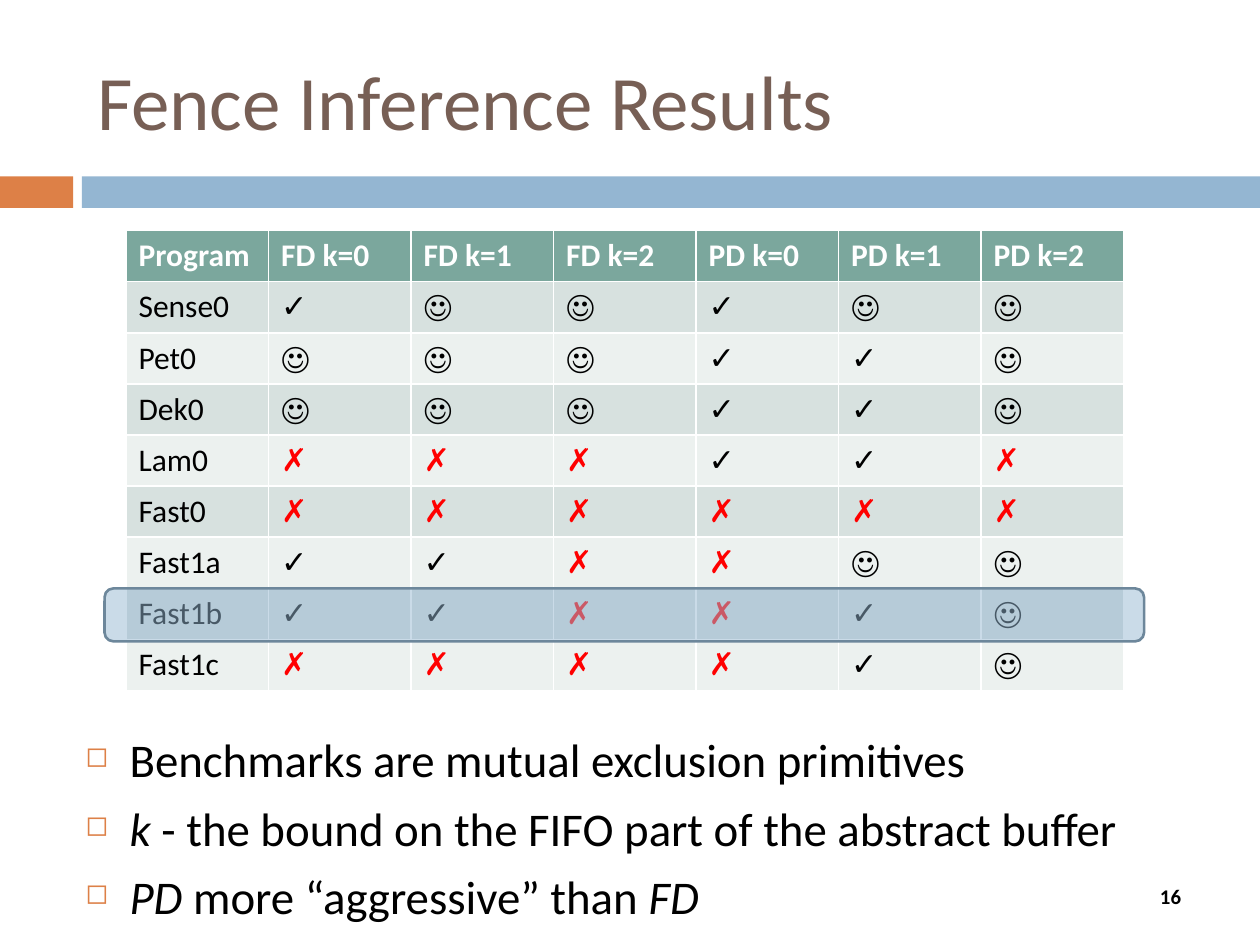
from lxml.etree import SubElement
from pptx import Presentation
from pptx.dml.color import RGBColor
from pptx.enum.shapes import MSO_SHAPE
from pptx.enum.text import MSO_ANCHOR, PP_ALIGN
from pptx.oxml.ns import qn
from pptx.util import Inches, Pt

HUES = {
    "orange": "DD8047", "blue": "94B6D2", "edge": "6D879B", "brown": "775F55",
    "head": "7BA79D", "odd": "D7E1DF", "even": "ECF1EF",
    "black": "000000", "white": "FFFFFF", "red": "FF0000",
}
HEADS = ["Program"] + [f"{kind} k={k}" for kind in ("FD", "PD") for k in range(3)]
RESULTS = {
    "Sense0": "✓☺☺✓☺☺",
    "Pet0": "☺☺☺✓✓☺",
    "Dek0": "☺☺☺✓✓☺",
    "Lam0": "✗✗✗✓✓✗",
    "Fast0": "✗✗✗✗✗✗",
    "Fast1a": "✓✓✗✗☺☺",
    "Fast1b": "✓✓✗✗✓☺",
    "Fast1c": "✗✗✗✗✓☺",
}
# Each point is a list of (text, italic) runs.
POINTS = [
    [("Benchmarks are mutual exclusion primitives", False)],
    [("k ", True), ("- the bound on the FIFO part of the abstract buffer", False)],
    [("PD", True), (" more “aggressive” than ", False), ("FD", True)],
]


def color(name):
    return RGBColor.from_string(HUES[name])


class Deck:
    font = "Calibri"

    def __init__(self, slide):
        self.slide = slide

    def run(self, para, text, size, hue="black", bold=False, italic=False):
        run = para.add_run()
        run.text = text
        font = run.font
        font.name, font.size = self.font, Pt(size)
        font.bold, font.italic = bold, italic
        font.color.rgb = color(hue)

    def title(self, box, text):
        shape = self.slide.shapes.title
        shape.left, shape.top, shape.width, shape.height = map(Inches, box)
        shape.text_frame.vertical_anchor = MSO_ANCHOR.MIDDLE
        para = shape.text_frame.paragraphs[0]
        para.alignment = PP_ALIGN.LEFT
        self.run(para, text, 44, "brown")

    def block(self, box, hue, kind=MSO_SHAPE.RECTANGLE, edge=None, alpha=None):
        shape = self.slide.shapes.add_shape(kind, *map(Inches, box))
        shape.shadow.inherit = False
        shape.fill.solid()
        shape.fill.fore_color.rgb = color(hue)
        if alpha:
            fill = shape.fill._xPr.find(qn("a:solidFill"))
            SubElement(fill[0], qn("a:alpha"), val=str(alpha * 1000))
        if edge:
            shape.line.color.rgb = color(edge)
            shape.line.width = Pt(1.5)
        else:
            shape.line.fill.background()

    def frame(self, box):
        frame = self.slide.shapes.add_textbox(*map(Inches, box)).text_frame
        frame.word_wrap = True
        return frame

    def number(self, box, text):
        frame = self.frame(box)
        frame.margin_left = frame.margin_right = 0
        frame.vertical_anchor = MSO_ANCHOR.MIDDLE
        para = frame.paragraphs[0]
        para.alignment = PP_ALIGN.CENTER
        self.run(para, text, 11.9, bold=True)

    def bullet(self, para):
        props = para._p.get_or_add_pPr()
        props.set("marL", str(Inches(0.35)))
        props.set("indent", str(-Inches(0.35)))
        tint = SubElement(props, qn("a:buClr"))
        SubElement(tint, qn("a:srgbClr"), val=HUES["orange"])
        SubElement(props, qn("a:buSzPct"), val="60000")
        SubElement(props, qn("a:buChar"), char="◻")

    def points(self, box, items):
        frame = self.frame(box)
        for i, runs in enumerate(items):
            para = frame.add_paragraph() if i else frame.paragraphs[0]
            para.space_before = Pt(7)
            self.bullet(para)
            for text, italic in runs:
                self.run(para, text, 26.8, italic=italic)

    def table(self, box, rows):
        size = len(rows), len(rows[0])
        table = self.slide.shapes.add_table(*size, *map(Inches, box)).table
        for r, row in enumerate(rows):
            for c, text in enumerate(row):
                cell = table.cell(r, c)
                cell.fill.solid()
                fill = "head" if r == 0 else "odd" if r % 2 else "even"
                cell.fill.fore_color.rgb = color(fill)
                hue = "white" if r == 0 else "red" if text == "✗" else "black"
                self.run(cell.text_frame.paragraphs[0], text, 18, hue, bold=r == 0)


def main():
    show = Presentation()
    show.slide_width, show.slide_height = Inches(10), Inches(7.5)
    deck = Deck(show.slides.add_slide(show.slide_layouts[5]))
    deck.block((0, 1.4, 0.58, 0.25), "orange")
    deck.block((0.65, 1.4, 9.35, 0.25), "blue")
    deck.title((0.67, 0.25, 8.92, 1.08), "Fence Inference Results")
    deck.number((9, 6.98, 0.58, 0.27), "16")
    deck.points((0.58, 5.75, 8.92, 1.75), POINTS)
    rows = [HEADS] + [[name, *marks] for name, marks in RESULTS.items()]
    deck.table((1, 1.83, 7.92, 3.65), rows)
    deck.block((0.83, 4.67, 8.25, 0.42), "blue", MSO_SHAPE.ROUNDED_RECTANGLE,
               edge="edge", alpha=49)
    show.save("out.pptx")


if __name__ == "__main__":
    main()
